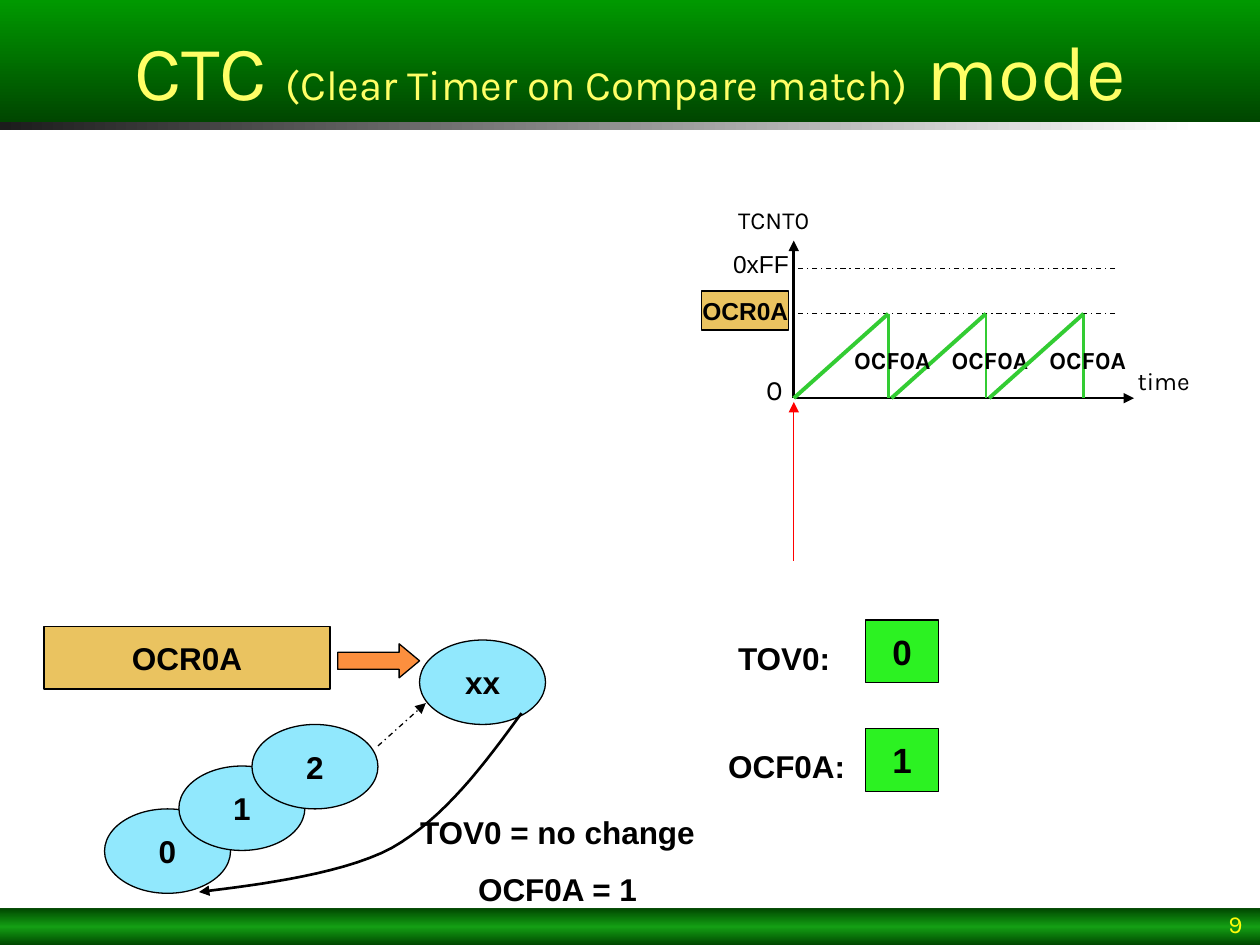
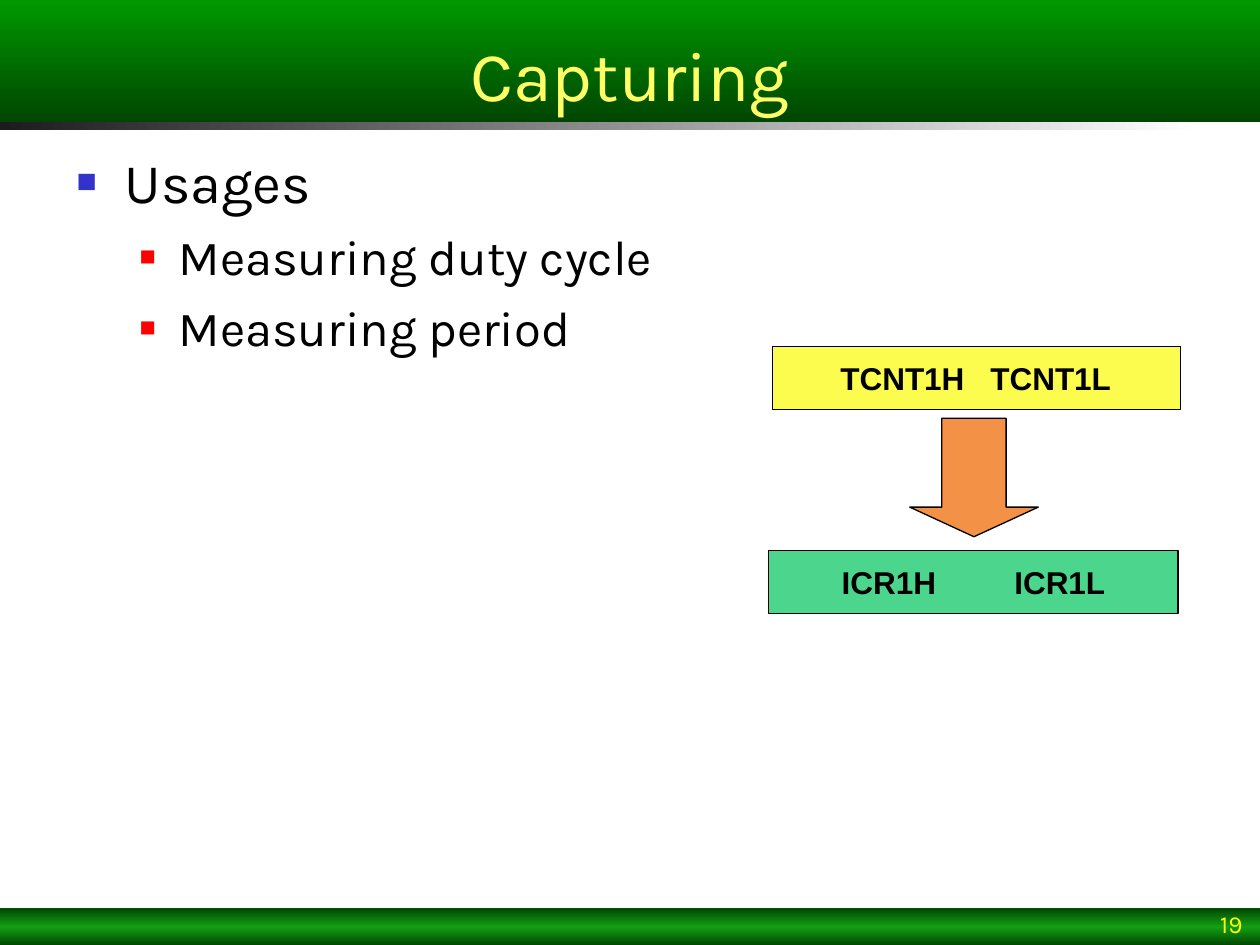
from lxml import etree
from pptx import Presentation
from pptx import util as u
from pptx.dml.color import RGBColor
from pptx.enum import dml, shapes, text
from pptx.oxml import ns

BLACK = RGBColor(0, 0, 0)
RED = RGBColor(0xFF, 0, 0)
GREEN = RGBColor(0, 0x99, 0)
DARK_GREEN = RGBColor(0, 0x46, 0)
WHITE = RGBColor(0xFF, 0xFF, 0xFF)
CHARCOAL = RGBColor(0x1C, 0x1C, 0x1C)
TITLE_YELLOW = RGBColor(0xFF, 0xFF, 0x66)
NUMBER_YELLOW = RGBColor(0xFF, 0xFB, 0x0B)
WAVE_GREEN = RGBColor(0x33, 0xCC, 0x33)
FLAG_GREEN = RGBColor(0x2C, 0xF2, 0x22)
STATE_BLUE = RGBColor(0x91, 0xE8, 0xFD)
COMPARE_TAN = RGBColor(0xEA, 0xC3, 0x60)
LOAD_ORANGE = RGBColor(0xFC, 0x8F, 0x3E)
CAPTURE_ORANGE = RGBColor(0xF3, 0x91, 0x47)
COUNTER_YELLOW = RGBColor(0xFC, 0xFC, 0x4E)
CAPTURE_GREEN = RGBColor(0x4B, 0xD5, 0x8D)
BULLET_BLUE = RGBColor(0x33, 0x33, 0xCC)

HEAD_FONT = "Karla"
DATA_FONT = "Arial"
ALIGN = text.PP_ALIGN
ANCHOR = text.MSO_ANCHOR
SHAPE = shapes.MSO_SHAPE


def child(parent, tag, **attributes):
    """Append a drawing element with the given attributes."""
    element = etree.SubElement(parent, ns.qn(tag))
    for name, value in attributes.items():
        element.set(name, str(value))
    return element


def place(left, top, width, height):
    return [u.Inches(value) for value in (left, top, width, height)]


def style(para, size, font=DATA_FONT, colour=BLACK, bold=False, align=ALIGN.LEFT):
    para.alignment = align
    for span in para.runs:
        span.font.size = u.Pt(size)
        span.font.name = font
        span.font.color.rgb = colour
        span.font.bold = bold


def label(page, words, at, size, anchor=ANCHOR.TOP, **look):
    """Place a text box with one paragraph per line of words."""
    box = page.shapes.add_textbox(*place(*at))
    frame = box.text_frame
    frame.word_wrap = True
    frame.vertical_anchor = anchor
    frame.text = words
    for para in frame.paragraphs:
        style(para, size, **look)
    return box


def block(page, kind, at, colour, words="", size=18):
    """Place a filled, outlined shape with bold centred text."""
    box = page.shapes.add_shape(kind, *place(*at))
    box.shadow.inherit = False
    box.fill.solid()
    box.fill.fore_color.rgb = colour
    box.line.color.rgb = BLACK
    box.line.width = u.Pt(0.75)
    frame = box.text_frame
    frame.word_wrap = False
    frame.vertical_anchor = ANCHOR.MIDDLE
    if words:
        frame.text = words
        style(frame.paragraphs[0], size, bold=True, align=ALIGN.CENTER)
    return box


def draw_line(line, colour, width, arrow=False, dashed=False):
    line.color.rgb = colour
    line.width = u.Pt(width)
    if dashed:
        line.dash_style = dml.MSO_LINE.DASH_DOT
    if arrow:
        child(line._get_or_add_ln(), "a:tailEnd", type="triangle")


def connect(page, start, end, colour=BLACK, width=0.75, **look):
    ends = [u.Inches(value) for value in (*start, *end)]
    line = page.shapes.add_connector(shapes.MSO_CONNECTOR.STRAIGHT, *ends)
    draw_line(line.line, colour, width, **look)
    child(line._element.spPr, "a:effectLst")


def band(page, at, stops, angle):
    """Place a gradient band; stops are (percent, colour, opacity percent)."""
    bar = page.shapes.add_shape(SHAPE.RECTANGLE, *place(*at))
    bar.shadow.inherit = False
    bar.line.fill.background()
    bar.fill.gradient()
    bar.fill.gradient_angle = -angle % 360
    stop_list = bar._element.spPr.find(".//" + ns.qn("a:gsLst"))
    for old_stop in list(stop_list):
        stop_list.remove(old_stop)
    for percent, colour, opacity in stops:
        stop = child(stop_list, "a:gs", pos=percent * 1000)
        shade = child(stop, "a:srgbClr", val=colour)
        if opacity < 100:
            child(shade, "a:alpha", val=opacity * 1000)
    return bar


def add_page(deck, title, number):
    """Add a slide with bands, title spans of (text, size) and its number."""
    page = deck.slides.add_slide(deck.slide_layouts[6])
    band(page, (0, 7.21, 10, 0.29),
         [(0, DARK_GREEN, 100), (50, GREEN, 92), (100, DARK_GREEN, 100)], 90)
    band(page, (0, 0.97, 9.51, 0.06), [(0, CHARCOAL, 100), (100, WHITE, 100)], 0)
    header = band(page, (0, 0, 10, 0.97),
                  [(0, GREEN, 100), (100, DARK_GREEN, 100)], 90)
    header.text_frame.vertical_anchor = ANCHOR.BOTTOM
    para = header.text_frame.paragraphs[0]
    for words, size in title:
        para.add_run().text = words
    style(para, 44, HEAD_FONT, TITLE_YELLOW, align=ALIGN.CENTER)
    for span, (words, size) in zip(para.runs, title):
        span.font.size = u.Pt(size)
    label(page, str(number), (7.83, 7.22, 2.13, 0.28), 14, ANCHOR.BOTTOM,
          font=HEAD_FONT, colour=NUMBER_YELLOW, align=ALIGN.RIGHT)
    return page


def timing_diagram(page, left, base):
    """Sawtooth of the counter, with the axes meeting at (left, base)."""
    period, rise, peak = 0.775, 0.75, base - 0.67
    # Axes and limits
    connect(page, (left, base), (left + 2.7, base), width=1.5, arrow=True)
    connect(page, (left, base), (left, base - 1.25), width=1.5, arrow=True)
    for level in (peak, base - 1.03):
        connect(page, (left + 2.55, level), (left, level), dashed=True)
    label(page, "TCNT0", (left - 0.54, base - 1.58, 0.92, 0.34), 14, font=HEAD_FONT)
    label(page, "time", (left + 2.63, base - 0.3, 0.92, 0.34), 14, font=HEAD_FONT)
    label(page, "0", (left - 0.41, base - 0.25, 0.42, 0.37), 16,
          font=HEAD_FONT, align=ALIGN.RIGHT)
    label(page, "0xFF", (left - 0.72, base - 1.23, 0.78, 0.34), 14, align=ALIGN.RIGHT)
    block(page, SHAPE.RECTANGLE, (left - 0.73, base - 0.85, 0.69, 0.31),
          COMPARE_TAN, "OCR0A", 14)
    # Teeth, the middle one at the back
    for tooth in (1, 0, 2):
        start = left + tooth * period
        connect(page, (start, base), (start + rise, peak), WAVE_GREEN, 2.25)
        connect(page, (start + rise, base), (start + rise, peak), WAVE_GREEN, 1.5)
        label(page, "OCF0A", (start + 0.38, base - 0.47, 1.17, 0.34), 14,
              font=HEAD_FONT, bold=True)
    # Time marker
    connect(page, (left, base + 1.29), (left, base + 0.03), RED, arrow=True)


def flags(page, left, top):
    """Flag names beside their values."""
    rows = [("TOV0:", "0", 0.08, 1.1), ("OCF0A:", "1", 0, 1.31)]
    for row, (name, value, indent, width) in enumerate(rows):
        y = top + row * 0.86
        label(page, name, (left + indent, y + 0.1, width, 0.4), 18, bold=True)
        block(page, SHAPE.RECTANGLE, (left + 1.19, y, 0.58, 0.5), FLAG_GREEN, value, 20)


def bezier(start, first, second, end, steps=16):
    """Points of a cubic curve after its start."""
    for step in range(1, steps + 1):
        t = step / steps
        weights = ((1 - t) ** 3, 3 * t * (1 - t) ** 2, 3 * t * t * (1 - t), t ** 3)
        yield tuple(sum(weight * point[axis] for weight, point in
                        zip(weights, (start, first, second, end))) for axis in (0, 1))


def state_chain(page, left, top):
    """Counter states climbing to the compare value and back to zero."""
    states = [("0", 0.48, 1.45), ("1", 1.07, 1.11), ("2", 1.65, 0.78), ("xx", 2.98, 0.11)]
    for name, x, y in states:
        block(page, SHAPE.OVAL, (left + x, top + y, 1, 0.67), STATE_BLUE, name)
    # Return path
    start, middle, end = (3.79, 0.69), (2.76, 1.76), (1.23, 2.11)
    points = [*bezier(start, (3.49, 1.1), (3.18, 1.52), middle),
              *bezier(middle, (2.33, 1.99), (1.53, 2.07), end)]
    corners = [(u.Inches(left + x), u.Inches(top + y)) for x, y in [start, *points]]
    builder = page.shapes.build_freeform(*corners[0])
    builder.add_line_segments(corners[1:], close=False)
    path = builder.convert_to_shape()
    path.shadow.inherit = False
    path.fill.background()
    draw_line(path.line, BLACK, 1.5, arrow=True)
    connect(page, (left + 2.65, top + 0.95), (left + 3.03, top + 0.61),
            arrow=True, dashed=True)
    # Effect on the flags
    effect = label(page, "TOV0 = no change\nOCF0A = 1",
                   (left + 2.63, top + 1.43, 2.89, 0.86), 18, bold=True,
                   align=ALIGN.CENTER)
    effect.text_frame.paragraphs[1].space_before = u.Pt(11.2)
    # Compare register
    block(page, SHAPE.RECTANGLE, (left, top, 2.27, 0.5), COMPARE_TAN, "OCR0A")
    arrow = block(page, SHAPE.RIGHT_ARROW, (left + 2.33, top + 0.14, 0.65, 0.27),
                  LOAD_ORANGE)
    arrow.adjustments[1] = 0.6


def bullet_list(page, left, top, width, height):
    items = [("Usages", 0), ("Measuring duty cycle", 1), ("Measuring period", 1)]
    # Per level: text size, left margin, hanging indent, bullet colour and percent
    levels = [(32, 0.38, 0.38, BULLET_BLUE, 60), (28, 0.81, 0.31, RED, 55)]
    box = label(page, "\n".join(words for words, level in items),
                (left, top, width, height), 32, font=HEAD_FONT)
    for index, (para, (words, level)) in enumerate(zip(box.text_frame.paragraphs, items)):
        size, margin, hanging, colour, percent = levels[level]
        properties = para._p.get_or_add_pPr()
        properties.set("marL", str(u.Inches(margin)))
        properties.set("indent", str(-u.Inches(hanging)))
        para.level = level
        if index:
            para.space_before = u.Pt(7)
        child(child(properties, "a:buClr"), "a:srgbClr", val=colour)
        child(properties, "a:buSzPct", val=percent * 1000)
        child(properties, "a:buFont", typeface=DATA_FONT)
        child(properties, "a:buChar", char="■")
        style(para, size, HEAD_FONT)


def register_pair(page, at, colour, names, start, gap):
    """Register with its high and low halves set apart by a tab stop."""
    box = block(page, SHAPE.RECTANGLE, at, colour, "\t".join(names))
    frame = box.text_frame
    frame.margin_left = u.Inches(start)
    frame.word_wrap = True
    para = frame.paragraphs[0]
    para.alignment = ALIGN.LEFT
    tabs = child(para._p.get_or_add_pPr(), "a:tabLst")
    child(tabs, "a:tab", pos=u.Inches(gap), algn="l")


def capture_diagram(page, left, top):
    """Counter copied down into the capture register."""
    register_pair(page, (left + 0.03, top, 3.24, 0.5), COUNTER_YELLOW,
                  ("TCNT1H", "TCNT1L"), 0.54, 1.19)
    register_pair(page, (left, top + 1.62, 3.25, 0.5), CAPTURE_GREEN,
                  ("ICR1H", "ICR1L"), 0.58, 1.37)
    arrow = block(page, SHAPE.DOWN_ARROW, (left + 1.12, top + 0.57, 1.02, 0.94),
                  CAPTURE_ORANGE)
    arrow.adjustments[1] = 0.25


def main():
    deck = Presentation()
    deck.slide_width, deck.slide_height = u.Inches(10), u.Inches(7.5)

    title = [("CTC ", 44), ("(Clear Timer on Compare match)", 24), (" mode", 44)]
    page = add_page(deck, title, 9)
    timing_diagram(page, 6.3, 3.16)
    flags(page, 5.68, 4.92)
    state_chain(page, 0.35, 4.97)

    page = add_page(deck, [("Capturing", 40)], 19)
    bullet_list(page, 0.51, 1.12, 5.17, 6)
    capture_diagram(page, 6.1, 2.75)

    deck.save("out.pptx")


if __name__ == "__main__":
    main()
